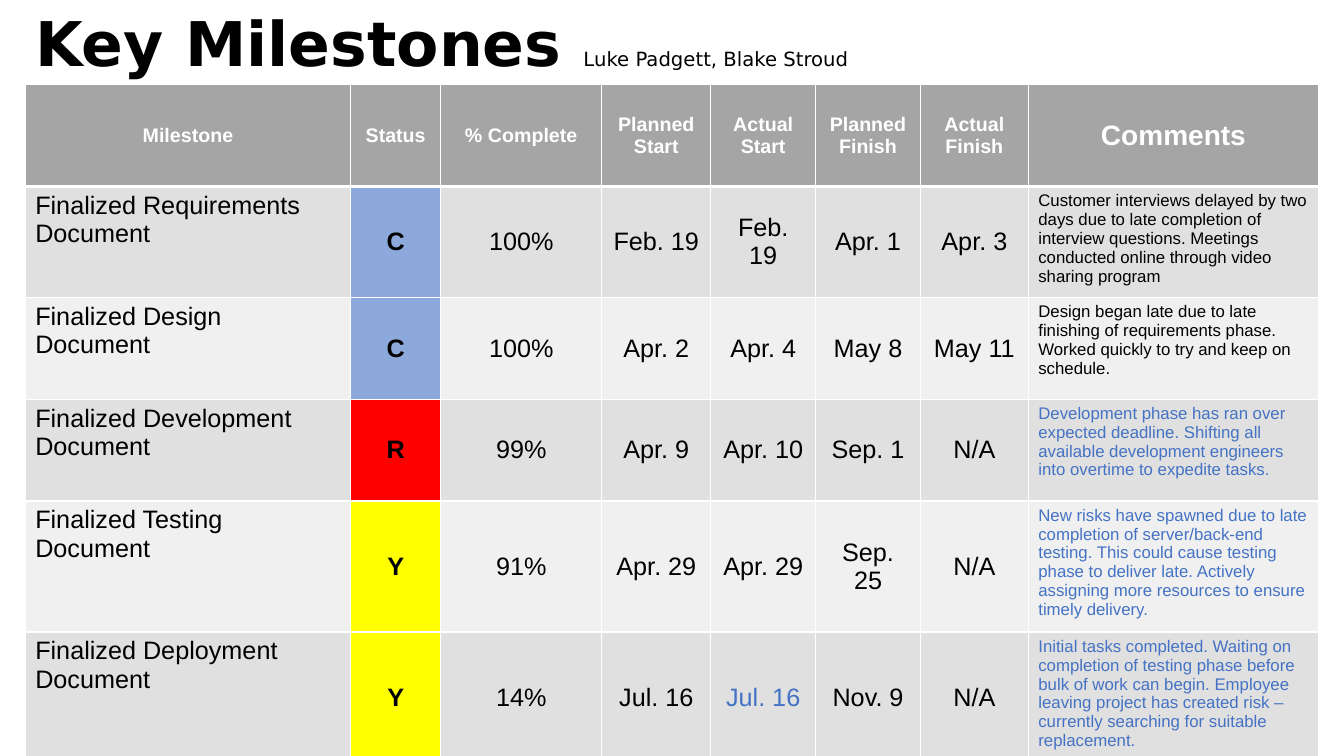
from dataclasses import dataclass

from lxml.etree import SubElement
from pptx import Presentation
from pptx.dml.color import RGBColor
from pptx.enum.text import MSO_ANCHOR, MSO_AUTO_SIZE, PP_ALIGN
from pptx.oxml.ns import qn
from pptx.util import Inches, Pt


@dataclass(frozen=True)
class Theme:
    title_font: str = "DejaVu Sans"
    table_font: str = "Arial"
    black: str = "000000"
    white: str = "FFFFFF"
    blue: str = "4472C4"
    header: str = "A5A5A5"
    bands: tuple = ("E0E0E0", "F0F0F0")
    title: int = 44
    comments_head: int = 20
    body: int = 18
    small: int = 14
    comment: int = 12


theme = Theme()
status_fills = {"C": "8DA9DB", "R": "FF0000", "Y": "FFFF00"}


def add_text(p, text, size=theme.body, color=theme.black, bold=False,
             font=theme.table_font, align=PP_ALIGN.LEFT):
    p.alignment = align
    r = p.add_run()
    r.text = text
    r.font.name = font
    r.font.size = Pt(size)
    r.font.bold = bold
    r.font.color.rgb = RGBColor.from_string(color)


def style_cell(cell, fill, top=1, bottom=1):
    """Set white borders, with widths in points, and then the fill."""
    tcPr = cell._tc.get_or_add_tcPr()
    for side, width in (("L", 1), ("R", 1), ("T", top), ("B", bottom)):
        line = SubElement(tcPr, qn(f"a:ln{side}"), w=str(Pt(width)))
        solid = SubElement(line, qn("a:solidFill"))
        SubElement(solid, qn("a:srgbClr"), val=theme.white)
    cell.fill.solid()
    cell.fill.fore_color.rgb = RGBColor.from_string(fill)


headers = ["Milestone", "Status", "% Complete", "Planned Start", "Actual Start",
           "Planned Finish", "Actual Finish", "Comments"]
widths = [3.23, 0.89, 1.6, 1.08, 1.04, 1.04, 1.07, 2.88]
row_height = 1.01
milestones = [
    ["Finalized Requirements Document", "C", "100%", "Feb. 19", "Feb. 19", "Apr. 1", "Apr. 3",
     "Customer interviews delayed by two days due to late completion of interview questions. "
     "Meetings conducted online through video sharing program"],
    ["Finalized Design Document", "C", "100%", "Apr. 2", "Apr. 4", "May 8", "May 11",
     "Design began late due to late finishing of requirements phase. "
     "Worked quickly to try and keep on schedule."],
    ["Finalized Development Document", "R", "99%", "Apr. 9", "Apr. 10", "Sep. 1", "N/A",
     "Development phase has ran over expected deadline. "
     "Shifting all available development engineers into overtime to expedite tasks."],
    ["Finalized Testing Document", "Y", "91%", "Apr. 29", "Apr. 29", "Sep. 25", "N/A",
     "New risks have spawned due to late completion of server/back-end testing. "
     "This could cause testing phase to deliver late. "
     "Actively assigning more resources to ensure timely delivery."],
    ["Finalized Deployment Document", "Y", "14%", "Jul. 16", "Jul. 16", "Nov. 9", "N/A",
     "Initial tasks completed. Waiting on completion of testing phase before bulk of work "
     "can begin. Employee leaving project has created risk – currently searching for "
     "suitable replacement."],
]
# Updated entries, as (row, column) in the table
updated = {(3, 7), (4, 7), (5, 7), (5, 4)}

prs = Presentation()
prs.slide_width, prs.slide_height = Inches(13.33), Inches(7.5)
s = prs.slides.add_slide(prs.slide_layouts[5])

title = s.shapes.title
title.left, title.top = Inches(0.25), Inches(0)
title.width, title.height = Inches(10.64), Inches(0.84)
tf = title.text_frame
tf.word_wrap = True
tf.auto_size = MSO_AUTO_SIZE.SHAPE_TO_FIT_TEXT
tf.vertical_anchor = MSO_ANCHOR.TOP
p = tf.paragraphs[0]
add_text(p, "Key Milestones ", size=theme.title, bold=True, font=theme.title_font)
add_text(p, "Luke Padgett, Blake Stroud", size=theme.small, font=theme.title_font)

row_count = len(milestones) + 1
table = s.shapes.add_table(row_count, len(headers), Inches(0.25), Inches(0.84),
                           Inches(sum(widths)), Inches(row_height * row_count)).table
for column, width in zip(table.columns, widths):
    column.width = Inches(width)
for row in table.rows:
    row.height = Inches(row_height)

for col, text in enumerate(headers):
    cell = table.cell(0, col)
    style_cell(cell, theme.header, bottom=3)
    cell.vertical_anchor = MSO_ANCHOR.MIDDLE
    add_text(cell.text_frame.paragraphs[0], text, color=theme.white, bold=True,
             size=theme.comments_head if text == "Comments" else theme.small,
             align=PP_ALIGN.CENTER)

for row, entries in enumerate(milestones, start=1):
    for col, text in enumerate(entries):
        heading = headers[col]
        centred = heading not in ("Milestone", "Comments")
        cell = table.cell(row, col)
        band = theme.bands[(row - 1) % 2]
        style_cell(cell, status_fills.get(text, band), top=3 if row == 1 else 1)
        cell.vertical_anchor = MSO_ANCHOR.MIDDLE if centred else MSO_ANCHOR.TOP
        add_text(cell.text_frame.paragraphs[0], text,
                 size=theme.comment if heading == "Comments" else theme.body,
                 color=theme.blue if (row, col) in updated else theme.black,
                 bold=heading == "Status",
                 align=PP_ALIGN.CENTER if centred else PP_ALIGN.LEFT)

prs.save("out.pptx")
